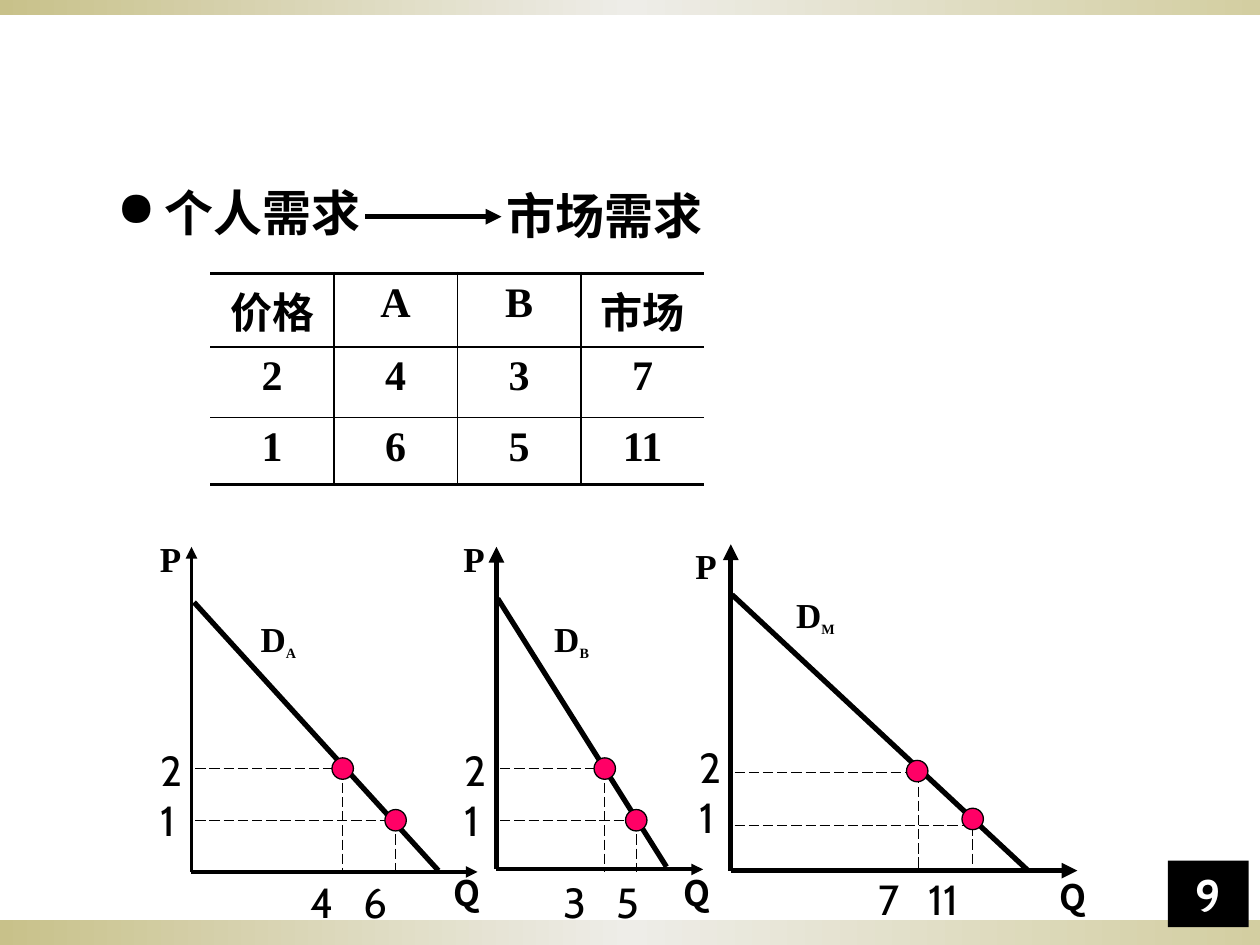
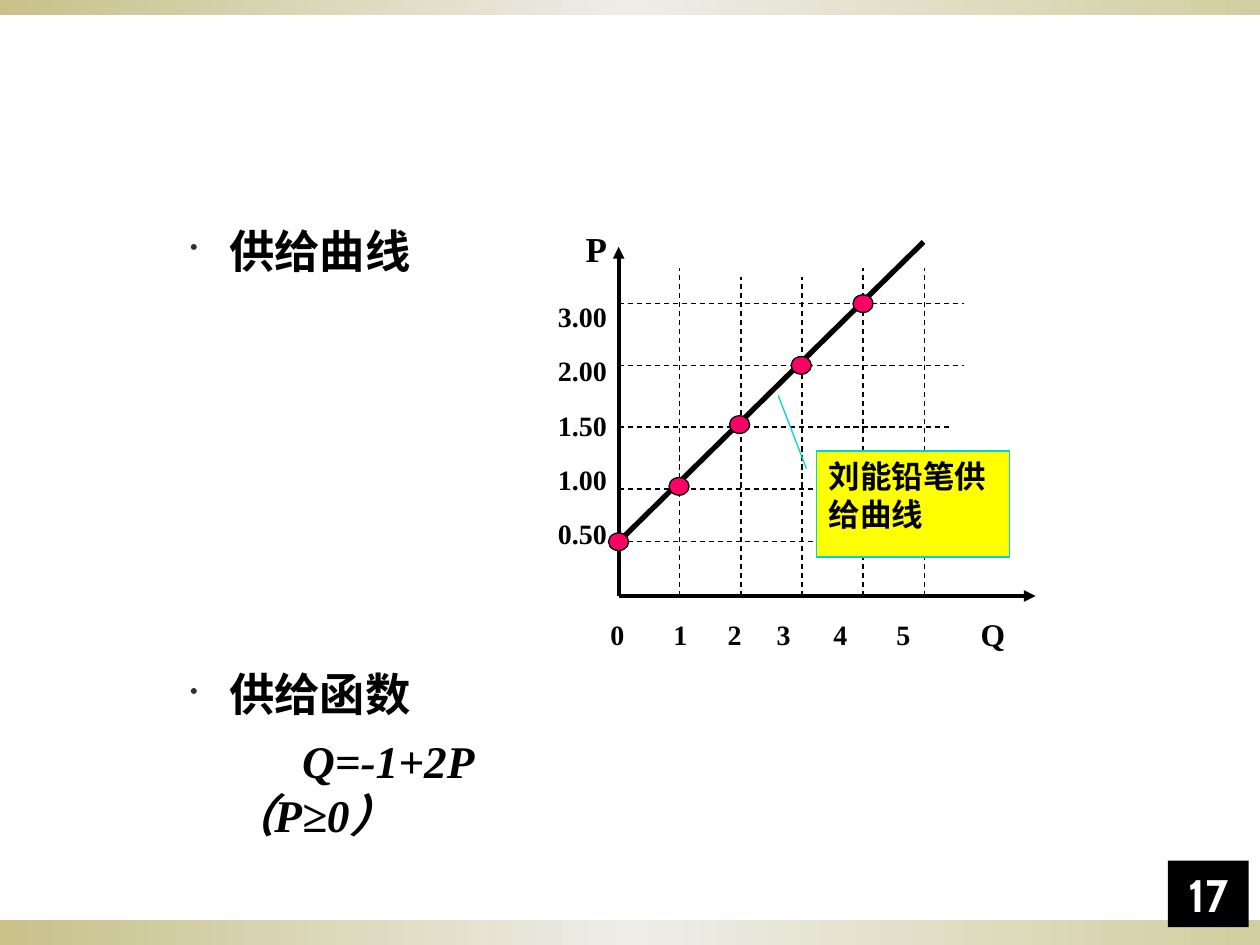
from pptx import Presentation
from copy import deepcopy
from lxml import etree
from pptx.dml.color import RGBColor
from pptx.enum import dml, shapes, text
from pptx.oxml import ns
from pptx.util import Inches, Pt

COLORS = {"ink": "000000", "paper": "FFFFFF", "dot": "FF0066", "note": "FFFF00", "note_line": "00D5D5"}
BAND_STOPS = [(0, "C8C18A"), (0.5, "EEEDE8"), (1, "D3CEA1")]
BANDS = [(0, 7.3, 10, 0.2), (0, 0, 10, 0.12)]
SERIF, SANS, CJK = "Times New Roman", "Cabin", "Noto Sans CJK JP"

DEMAND_TABLE = [["价格", "A", "B", "市场"], ["2", "4", "3", "7"], ["1", "6", "5", "11"]]
ROW_HEIGHTS = [0.58, 0.56, 0.53]
DEMAND_GRAPHS = [
    dict(name="M", origin=(5.8, 6.91), top=4.32, right=8.55, axis_widths=(3, 3),
         curve=(5.81, 4.72, 8.16, 6.91), name_at=(6.22, 4.66), p_at=(5.42, 4.27), q_at=(8.31, 6.9),
         guides=[(7.29, 6.13), (7.72, 6.55)], dots=[(7.28, 6.12), (7.72, 6.5)],
         prices_top=5.66, quantities=[("7", 7.06), ("11", 7.49)], quantity_top=6.91),
    dict(name="B", origin=(3.94, 6.9), top=4.34, right=5.58, axis_widths=(3, 2.25),
         curve=(3.95, 4.75, 5.29, 6.88), name_at=(4.3, 4.85), p_at=(3.58, 4.22), q_at=(5.33, 6.87),
         guides=[(4.8, 6.1), (5.05, 6.51)], dots=[(4.8, 6.1), (5.05, 6.51)],
         prices_top=5.68, quantities=[("3", 4.56), ("5", 4.98)], quantity_top=6.93),
    dict(name="A", origin=(1.52, 6.92), top=4.34, right=3.79, axis_widths=(2.25, 2.25),
         curve=(1.54, 4.78, 3.48, 6.91), name_at=(1.97, 4.85), p_at=(1.17, 4.22), q_at=(3.5, 6.87),
         guides=[(2.72, 6.1), (3.14, 6.51)], dots=[(2.72, 6.1), (3.14, 6.51)],
         prices_top=5.68, quantities=[("4", 2.56), ("6", 2.98)], quantity_top=6.93),
]

SUPPLY_ORIGIN = (4.91, 4.73)
SUPPLY_PRICES = ["3.00", "2.00", "1.50", "1.00", "0.50"]
SUPPLY_QUANTITIES = [("0", 4.9), ("1", 5.4), ("2", 5.83), ("3", 6.22), ("4", 6.67), ("5", 7.17)]
PRICE_GUIDES = [(2.41, 7.65), (2.9, 7.65), (3.39, 7.56), (3.88, 7.57), (4.3, 7.57)]
QUANTITY_GUIDE_TOPS = [2.13, 2.2, 2.2, 2.13, 2.13]
QUANTITY_STEP = 0.485
SUPPLY_DOTS = [(5.39, 3.86), (5.87, 3.37), (6.36, 2.9), (6.85, 2.41), (4.91, 4.3)]
NOTE_LEADER = [0.167, -0.052, 0.167, -0.052, -0.523, -0.198]


def rgb(name):
    return RGBColor.from_string(COLORS[name])


def write(frame, paragraphs, font=SERIF, ea=SANS, size=20, bold=True, italic=False, color="ink",
          align="LEFT", anchor="TOP", wrap=True, inset=(0.1, 0.05), spacing=None, before=0,
          indent=None, bullet=None, bullet_xml=""):
    frame.word_wrap = wrap
    frame.vertical_anchor = getattr(text.MSO_ANCHOR, anchor)
    frame.margin_left = frame.margin_right = Inches(inset[0])
    frame.margin_top = frame.margin_bottom = Inches(inset[1])
    for index, runs in enumerate(paragraphs):
        paragraph = frame.add_paragraph() if index else frame.paragraphs[0]
        paragraph.alignment = getattr(text.PP_ALIGN, align)
        paragraph.space_before = Pt(before)
        if spacing:
            paragraph.line_spacing = spacing
        properties = paragraph._p.get_or_add_pPr()
        if indent:
            properties.set("marL", str(Inches(indent[0])))
            properties.set("indent", str(Inches(indent[1])))
        if bullet:
            for fragment in (bullet_xml, f'<a:buChar {ns.nsdecls("a")} char="{bullet}"/>'):
                if fragment:
                    properties.append(etree.fromstring(fragment))
        for words, subscript in [(runs, False)] if isinstance(runs, str) else runs:
            run = paragraph.add_run()
            run.text = words
            run.font.name, run.font.size = font, Pt(14 if subscript else size)
            run.font.bold, run.font.italic = bold, italic
            run.font.color.rgb = rgb(color)
            etree.SubElement(run._r.rPr, ns.qn("a:ea")).set("typeface", ea)
            if subscript:
                run._r.rPr.set("baseline", "-25000")


def label(slide, box, *paragraphs, **formatting):
    area = slide.shapes.add_textbox(*map(Inches, box))
    write(area.text_frame, paragraphs, **formatting)


def solid(slide, kind, box, fill, line=None):
    part = slide.shapes.add_shape(getattr(shapes.MSO_SHAPE, kind), *map(Inches, box))
    part.shadow.inherit = False
    part.fill.solid()
    part.fill.fore_color.rgb = rgb(fill)
    if line:
        part.line.color.rgb = rgb(line)
        part.line.width = Pt(0.75)
    else:
        part.line.fill.background()
    return part


def dot(slide, center, width, height):
    x, y = center
    solid(slide, "OVAL", (x - width / 2, y - height / 2, width, height), "dot", "ink")


def stroke(slide, x1, y1, x2, y2, width=0.75, dash=None, arrow=False):
    line = slide.shapes.add_connector(shapes.MSO_CONNECTOR.STRAIGHT, *map(Inches, (x1, y1, x2, y2)))
    line.line.color.rgb = rgb("ink")
    line.line.width = Pt(width)
    if dash:
        line.line.dash_style = getattr(dml.MSO_LINE, dash)
    if arrow:
        etree.SubElement(line.line._get_or_add_ln(), ns.qn("a:tailEnd")).set("type", "triangle")
    etree.SubElement(line._element.spPr, ns.qn("a:effectLst"))


def new_slide(deck, number):
    slide = deck.slides.add_slide(deck.slide_layouts[6])
    for box in BANDS:
        band = solid(slide, "RECTANGLE", box, "paper")
        band.fill.gradient()
        band.fill.gradient_angle = 0
        stops = band._element.spPr.find(ns.qn("a:gradFill")).find(ns.qn("a:gsLst"))
        stops.append(deepcopy(stops[0]))
        for stop, (position, color) in zip(band.fill.gradient_stops, BAND_STOPS):
            stop.position = position
            stop.color.rgb = RGBColor.from_string(color)
    badge = solid(slide, "RECTANGLE", (9.27, 6.83, 0.64, 0.53), "ink")
    write(badge.text_frame, [number], font=SANS, size=26, color="paper", align="CENTER", anchor="BOTTOM")
    return slide


def border(cell, side, width):
    line = etree.SubElement(cell._tc.get_or_add_tcPr(), ns.qn(f"a:ln{side}"), w=str(Pt(width)))
    if width:
        fill = etree.SubElement(line, ns.qn("a:solidFill"))
        etree.SubElement(fill, ns.qn("a:srgbClr")).set("val", COLORS["ink"])
    else:
        etree.SubElement(line, ns.qn("a:noFill"))


def demand_table(slide):
    rows, columns = len(DEMAND_TABLE), len(DEMAND_TABLE[0])
    table = slide.shapes.add_table(rows, columns, *map(Inches, (1.67, 2.17, 3.92, sum(ROW_HEIGHTS)))).table
    table.first_row = table.horz_banding = False
    for r, values in enumerate(DEMAND_TABLE):
        table.rows[r].height = Inches(ROW_HEIGHTS[r])
        for c, value in enumerate(values):
            cell = table.cell(r, c)
            write(cell.text_frame, [value], ea=CJK, size=24, align="CENTER")
            border(cell, "L", 1 if c else 0)
            border(cell, "R", 1 if c < columns - 1 else 0)
            border(cell, "T", 1 if r else 2.25)
            border(cell, "B", 1 if r < rows - 1 else 2.25)
            cell.fill.background()


def demand_graph(slide, graph):
    x0, y0 = graph["origin"]
    stroke(slide, x0, y0, x0, graph["top"], graph["axis_widths"][0], arrow=True)
    stroke(slide, x0, y0, graph["right"], y0, graph["axis_widths"][1], arrow=True)
    stroke(slide, *graph["curve"], width=3)
    for x, y in graph["guides"]:
        stroke(slide, x0 + 0.03, y, x, y, dash="LONG_DASH")
        stroke(slide, x, y, x, y0 + 0.02, dash="LONG_DASH")
    for center in graph["dots"]:
        dot(slide, center, 0.17, 0.17)
    label(slide, (*graph["name_at"], 0.67, 0.43), [("D", False), (graph["name"], True)])
    label(slide, (*graph["p_at"], 0.4, 0.43), "P")
    label(slide, (*graph["q_at"], 0.45, 0.43), "Q", font=CJK, ea=CJK)
    digits = dict(font=SANS, size=24, bold=False, anchor="MIDDLE", inset=(0, 0))
    label(slide, (x0 - 0.25, graph["prices_top"], 0.25, 1.25), "2", "1", **digits)
    for quantity, x in graph["quantities"]:
        label(slide, (x - 0.25, graph["quantity_top"], 0.5, 0.45), quantity, align="CENTER", **digits)


def demand_slide(deck):
    slide = new_slide(deck, "9")
    demand_table(slide)
    for graph in DEMAND_GRAPHS:
        demand_graph(slide, graph)
    stroke(slide, 2.9, 1.72, 3.98, 1.72, 3, arrow=True)
    label(slide, (0.83, 1.4, 2.24, 0.57), "个人需求", size=28, indent=(0.38, -0.38), bullet="●")
    label(slide, (3.92, 1.42, 1.9, 0.57), "市场需求", size=28)


def supply_slide(deck):
    slide = new_slide(deck, "17")
    bullet_xml = (f'<a:buClr {ns.nsdecls("a")}><a:srgbClr val="2F2F2F"/></a:buClr>',
                  f'<a:buSzPct {ns.nsdecls("a")} val="50000"/>')
    for heading, top in (("供给曲线", 1.72), ("供给函数", 5.24)):
        label(slide, (0.91, top, 4.08, 0.53), heading, size=25.9, indent=(0.81, -0.31),
              bullet="•", bullet_xml=bullet_xml[0])
        properties = slide.shapes[-1].text_frame.paragraphs[0]._p.pPr
        properties.insert(len(properties) - 1, etree.fromstring(bullet_xml[1]))
    label(slide, (0.91, 5.77, 3.2, 0.95), "Q=-1+2P（P≥0）", size=25.9, italic=True, indent=(0.81, 0.58))

    x0, y0 = SUPPLY_ORIGIN
    stroke(slide, x0, y0, x0, 1.96, 2.25, arrow=True)
    stroke(slide, x0, y0, 8.22, y0, 2.25, arrow=True)
    for y, right in PRICE_GUIDES:
        stroke(slide, x0, y, right, y, dash="DASH")
    for step, top in enumerate(QUANTITY_GUIDE_TOPS, 1):
        x = x0 + step * QUANTITY_STEP
        stroke(slide, x, y0, x, top, dash="DASH")
    stroke(slide, x0, 4.3, 7.33, 1.92, 3)
    label(slide, (4.33, 2.29, 0.65, 2.46), *SUPPLY_PRICES, size=16, spacing=1.15, before=8.9)
    for quantity, x in SUPPLY_QUANTITIES:
        label(slide, (x - 0.2, 4.85, 0.4, 0.35), quantity, size=16, align="CENTER")
    label(slide, (7.68, 4.83, 0.4, 0.38), "Q", size=18, align="CENTER")
    label(slide, (4.55, 1.76, 0.4, 0.43), "P")

    note = solid(slide, "LINE_CALLOUT_2", (6.48, 3.58, 1.53, 0.84), "note", "note_line")
    for index, value in enumerate(NOTE_LEADER):
        note.adjustments[index] = value
    write(note.text_frame, ["刘能铅笔供给曲线"], font=SANS, size=18)
    for center in SUPPLY_DOTS:
        dot(slide, center, 0.16, 0.14)


def main():
    deck = Presentation()
    deck.slide_width, deck.slide_height = Inches(10), Inches(7.5)
    demand_slide(deck)
    supply_slide(deck)
    deck.save("out.pptx")


if __name__ == "__main__":
    main()
